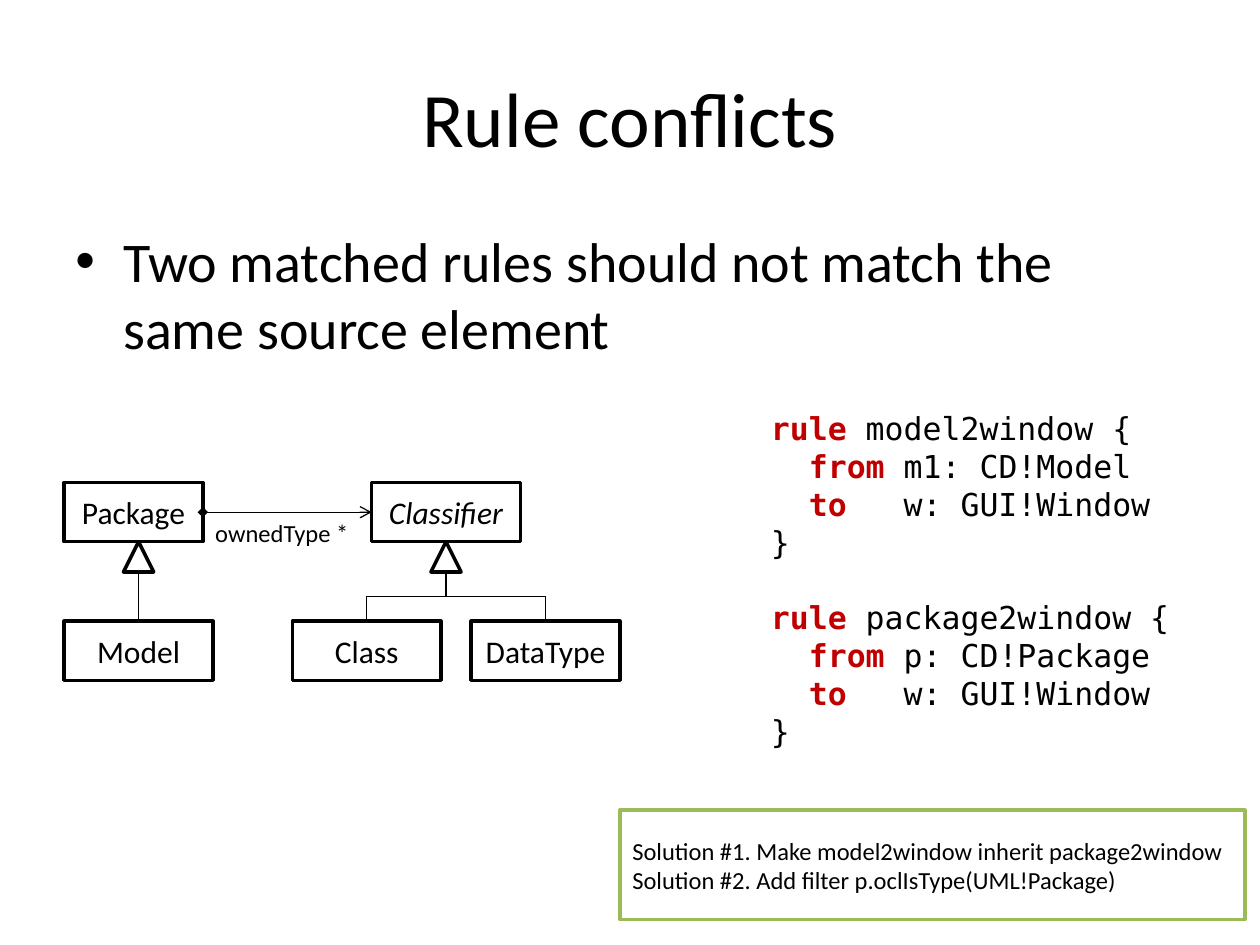
from lxml.etree import SubElement
from pptx import Presentation
from pptx.dml.color import RGBColor
from pptx.enum.shapes import MSO_CONNECTOR as Connector, MSO_SHAPE as Shape
from pptx.enum.text import MSO_ANCHOR as Anchor, MSO_AUTO_SIZE as AutoSize, PP_ALIGN as Align
from pptx.oxml.ns import qn
from pptx.util import Inches, Pt

BLACK = RGBColor(0x00, 0x00, 0x00)
WHITE = RGBColor(0xFF, 0xFF, 0xFF)
RED = RGBColor(0xC0, 0x00, 0x00)
GREEN = RGBColor(0x9B, 0xBB, 0x59)
BODY_FONT = "Calibri"
CODE_FONT = "DejaVu Sans Mono"

BOX_WIDTH, BOX_HEIGHT = 1.18, 0.47
TRIANGLE_SIZE = 0.24
TOP_ROW, BOTTOM_ROW = 3.83, 4.93
TRIANGLE_TOP = TOP_ROW + BOX_HEIGHT
TRIANGLE_BASE = TRIANGLE_TOP + TRIANGLE_SIZE
PARENT_X, CLASSIFIER_X = 1.1, 3.54

RULES = [("model2window", "m1: CD!Model"), ("package2window", "p: CD!Package")]
SOLUTIONS = [
    "Solution #1. Make model2window inherit package2window",
    "Solution #2. Add filter p.oclIsType(UML!Package)",
]


def write(paragraph, text, size=18, color=BLACK, font=BODY_FONT, bold=False, italic=False):
    """Add a formatted run to a paragraph."""
    run = paragraph.add_run()
    run.text = text
    run.font.size = Pt(size)
    run.font.name = font
    run.font.color.rgb = color
    run.font.bold = bold
    run.font.italic = italic


class SlideBuilder:
    """Draw styled elements on the current slide."""

    def __init__(self, slide):
        self.slide = slide

    def title(self, text, left, top, width, height):
        title = self.slide.shapes.title
        title.left, title.top = Inches(left), Inches(top)
        title.width, title.height = Inches(width), Inches(height)
        title.text_frame.vertical_anchor = Anchor.MIDDLE
        paragraph = title.text_frame.paragraphs[0]
        paragraph.alignment = Align.CENTER
        write(paragraph, text, size=44)

    def text_box(self, left, top, width, height, wrap=True):
        box = self.slide.shapes.add_textbox(
            Inches(left), Inches(top), Inches(width), Inches(height))
        box.text_frame.auto_size = AutoSize.NONE
        box.text_frame.word_wrap = wrap
        return box.text_frame

    def bullet(self, text, left, top, width, height):
        paragraph = self.text_box(left, top, width, height).paragraphs[0]
        paragraph.space_before = Pt(6.4)
        properties = paragraph._p.get_or_add_pPr()
        properties.set("marL", str(Inches(0.38)))
        properties.set("indent", str(-Inches(0.38)))
        SubElement(properties, qn("a:buFont")).set("typeface", "Arial")
        SubElement(properties, qn("a:buChar")).set("char", "•")
        write(paragraph, text, size=32)

    def outline(self, kind, left, top, width, height, color=BLACK):
        shape = self.slide.shapes.add_shape(
            kind, Inches(left), Inches(top), Inches(width), Inches(height))
        shape.shadow.inherit = False
        shape.fill.solid()
        shape.fill.fore_color.rgb = WHITE
        shape.line.color.rgb = color
        shape.line.width = Pt(2)
        return shape

    def box(self, lines, left, top, width=BOX_WIDTH, height=BOX_HEIGHT,
            color=BLACK, align=Align.CENTER, **text_format):
        shape = self.outline(Shape.RECTANGLE, left, top, width, height, color)
        frame = shape.text_frame
        frame.word_wrap = True
        frame.vertical_anchor = Anchor.MIDDLE
        for index, line in enumerate(lines):
            paragraph = frame.add_paragraph() if index else frame.paragraphs[0]
            paragraph.alignment = align
            write(paragraph, line, **text_format)
        return shape

    def triangle(self, center_x):
        self.outline(Shape.ISOSCELES_TRIANGLE, center_x - TRIANGLE_SIZE / 2,
                     TRIANGLE_TOP, TRIANGLE_SIZE, TRIANGLE_SIZE)

    def connector(self, kind, start, end, head=None, tail=None):
        connector = self.slide.shapes.add_connector(
            kind, *(Inches(length) for length in (*start, *end)))
        connector.line.color.rgb = BLACK
        connector.line.width = Pt(0.75)
        line = connector.line._get_or_add_ln()
        for tag, arrow in (("a:headEnd", head), ("a:tailEnd", tail)):
            if arrow:
                SubElement(line, qn(tag)).set("type", arrow)
        SubElement(connector._element.spPr, qn("a:effectLst"))
        return connector

    def rising_elbow(self, start, end):
        """Turn a sideways elbow by 270 degrees so that it leaves upwards."""
        (start_x, start_y), (end_x, end_y) = start, end
        center_x, center_y = (start_x + end_x) / 2, (start_y + end_y) / 2
        half_rise, half_run = (start_y - end_y) / 2, (end_x - start_x) / 2
        connector = self.connector(
            Connector.ELBOW,
            (center_x - half_rise, center_y - half_run),
            (center_x + half_rise, center_y + half_run))
        connector._element.spPr.find(qn("a:xfrm")).set("rot", str(270 * 60000))

    def code(self, rules, left, top, width, height):
        frame = self.text_box(left, top, width, height)
        for index, (name, source) in enumerate(rules):
            lines = [
                ("", "rule", f" {name} {{"),
                ("  ", "from", f" {source}"),
                ("  ", "to", "   w: GUI!Window"),
                ("", "", "}"),
            ]
            for row, (indent, keyword, rest) in enumerate(lines):
                paragraph = frame.add_paragraph() if index or row else frame.paragraphs[0]
                if index and not row:
                    paragraph.space_before = Pt(21.6)
                if keyword:
                    write(paragraph, indent + keyword, color=RED, font=CODE_FONT, bold=True)
                write(paragraph, rest, font=CODE_FONT)


def main():
    presentation = Presentation()
    presentation.slide_width, presentation.slide_height = Inches(10), Inches(7.5)
    slide = presentation.slides.add_slide(presentation.slide_layouts[5])
    builder = SlideBuilder(slide)

    builder.title("Rule conflicts", 0.5, 0.3, 9, 1.25)
    builder.bullet("Two matched rules should not match the same source element",
                   0.5, 1.75, 9, 4.95)
    label = builder.text_box(1.61, 4.06, 1.27, 0.34, wrap=False)
    write(label.paragraphs[0], "ownedType *", size=14)

    package = builder.box(["Package"], 0.51, TOP_ROW, width=1.1)
    classifier = builder.box(["Classifier"], 2.95, TOP_ROW, italic=True)
    model = builder.box(["Model"], 0.51, BOTTOM_ROW)
    for name, left in (("Class", 2.32), ("DataType", 3.74)):
        builder.box([name], left, BOTTOM_ROW)
        builder.rising_elbow((left + BOX_WIDTH / 2, BOTTOM_ROW),
                             (CLASSIFIER_X, TRIANGLE_BASE))
    for center_x in (PARENT_X, CLASSIFIER_X):
        builder.triangle(center_x)

    middle = TOP_ROW + BOX_HEIGHT / 2
    owned_type = builder.connector(Connector.STRAIGHT, (1.61, middle), (2.95, middle),
                                   head="diamond", tail="arrow")
    owned_type.begin_connect(package, 3)
    owned_type.end_connect(classifier, 1)
    inheritance = builder.connector(Connector.STRAIGHT, (PARENT_X, BOTTOM_ROW),
                                    (PARENT_X, TRIANGLE_BASE))
    inheritance.begin_connect(model, 0)

    builder.code(RULES, 6.02, 3.2, 3.78, 3.13)
    builder.box(SOLUTIONS, 4.92, 6.43, 4.96, 0.87, color=GREEN, align=Align.LEFT, size=14)
    presentation.save("out.pptx")


if __name__ == "__main__":
    main()
